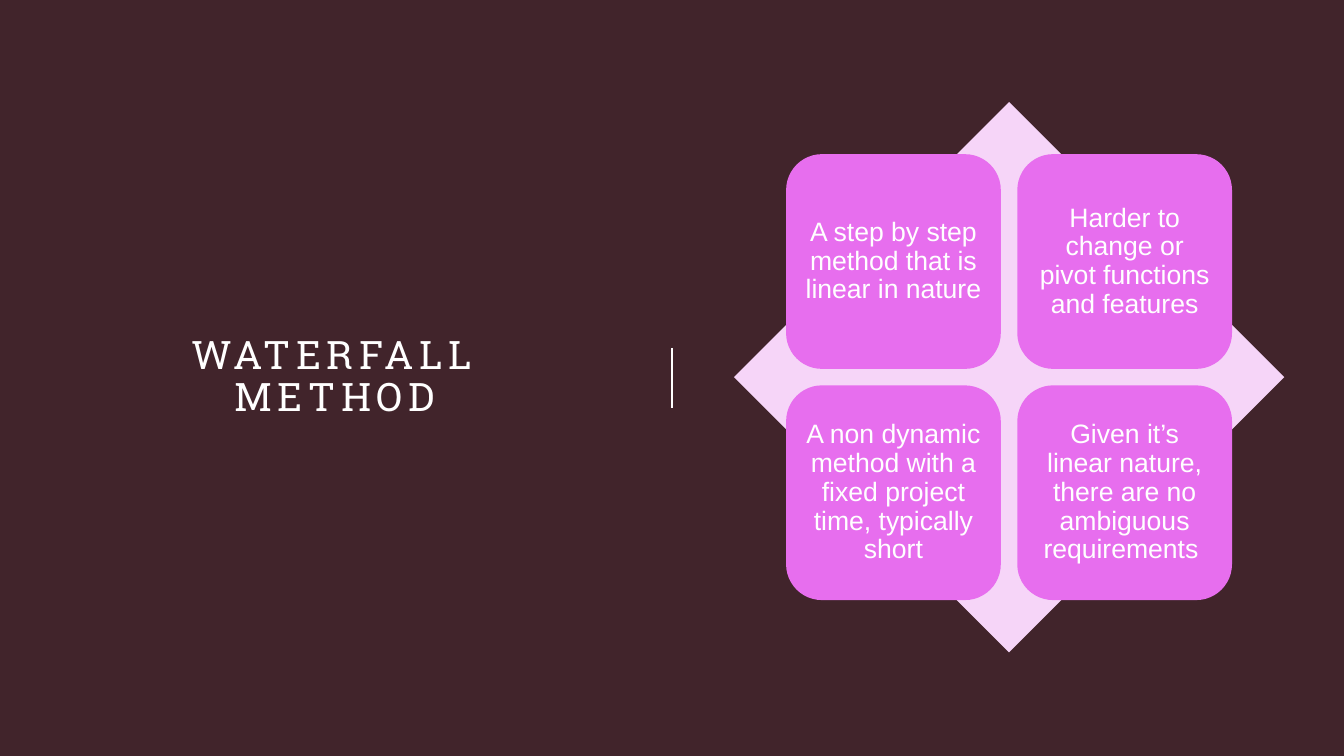
from dataclasses import dataclass

from lxml.etree import SubElement
from pptx import Presentation
from pptx.dml.color import RGBColor
from pptx.enum.shapes import MSO_CONNECTOR, MSO_SHAPE
from pptx.enum.text import MSO_ANCHOR, PP_ALIGN
from pptx.oxml.ns import qn
from pptx.util import Pt


@dataclass(frozen=True)
class Theme:
    """Colours, fonts and type sizes of the slide."""
    background: str = "41242B"
    text: str = "FFFFFF"
    diamond: str = "F6D5F8"
    tile: str = "E76EEE"
    title_font: str = "Roboto Slab"
    body_font: str = "Arial"
    title_size: float = 28
    body_size: float = 19


THEME = Theme()
TILE_TEXTS = (
    "A step by step method that is linear in nature",
    "Harder to change or pivot functions and features",
    "A non dynamic method with a fixed project time, typically short",
    "Given it’s linear nature, there are no ambiguous requirements ",
)


def write_text(shape, text, *, font, size, inset=0, line_spacing=0.9, tracking=0):
    """Write one centred paragraph into a shape."""
    frame = shape.text_frame
    frame.word_wrap = True
    frame.vertical_anchor = MSO_ANCHOR.MIDDLE
    frame.margin_left = frame.margin_right = Pt(inset)
    frame.margin_top = frame.margin_bottom = Pt(inset)
    paragraph = frame.paragraphs[0]
    paragraph.alignment = PP_ALIGN.CENTER
    paragraph.line_spacing = line_spacing
    run = paragraph.add_run()
    run.text = text
    run.font.name = font
    run.font.size = Pt(size)
    run.font.color.rgb = RGBColor.from_string(THEME.text)
    if tracking:
        run.font._element.set("spc", str(tracking * 100))


def add_filled_shape(slide, kind, left, top, size, color):
    """Add a square, borderless shape without shadow."""
    shape = slide.shapes.add_shape(kind, Pt(left), Pt(top), Pt(size), Pt(size))
    shape.shadow.inherit = False
    shape.fill.solid()
    shape.fill.fore_color.rgb = RGBColor.from_string(color)
    shape.line.fill.background()
    return shape


def add_title(slide, left, top, width, height):
    """Place the spaced title in its box."""
    box = slide.shapes.add_textbox(Pt(left), Pt(top), Pt(width), Pt(height))
    write_text(box, "WATERFALL METHOD", font=THEME.title_font,
               size=THEME.title_size, tracking=4)


def add_divider(slide, left, top, height):
    """Draw the short vertical line between title and matrix."""
    line = slide.shapes.add_connector(
        MSO_CONNECTOR.STRAIGHT, Pt(left), Pt(top), Pt(left), Pt(top + height))
    line.line.color.rgb = RGBColor.from_string(THEME.text)
    line.line.width = Pt(1)
    SubElement(line._element.spPr, qn("a:effectLst"))


def add_matrix(slide, left, top, size):
    """Place the diamond and its two-by-two grid of tiles."""
    add_filled_shape(slide, MSO_SHAPE.DIAMOND, left, top, size, THEME.diamond)
    margin, tile_size, pitch = 0.095 * size, 0.39 * size, 0.42 * size
    for index, text in enumerate(TILE_TEXTS):
        row, column = divmod(index, 2)
        tile = add_filled_shape(
            slide, MSO_SHAPE.ROUNDED_RECTANGLE, left + margin + column * pitch,
            top + margin + row * pitch, tile_size, THEME.tile)
        write_text(tile, text, font=THEME.body_font, size=THEME.body_size, inset=5.76)


def main():
    """Build and save the slide."""
    presentation = Presentation()
    presentation.slide_width, presentation.slide_height = Pt(960), Pt(540)
    slide = presentation.slides.add_slide(presentation.slide_layouts[6])
    slide.background.fill.solid()
    slide.background.fill.fore_color.rgb = RGBColor.from_string(THEME.background)
    add_title(slide, 85, 85, 307.5, 369.5)
    add_divider(slide, 480, 248.5, 43)
    add_matrix(slide, 524.2, 72.8, 393.2)
    presentation.save("out.pptx")


if __name__ == "__main__":
    main()
